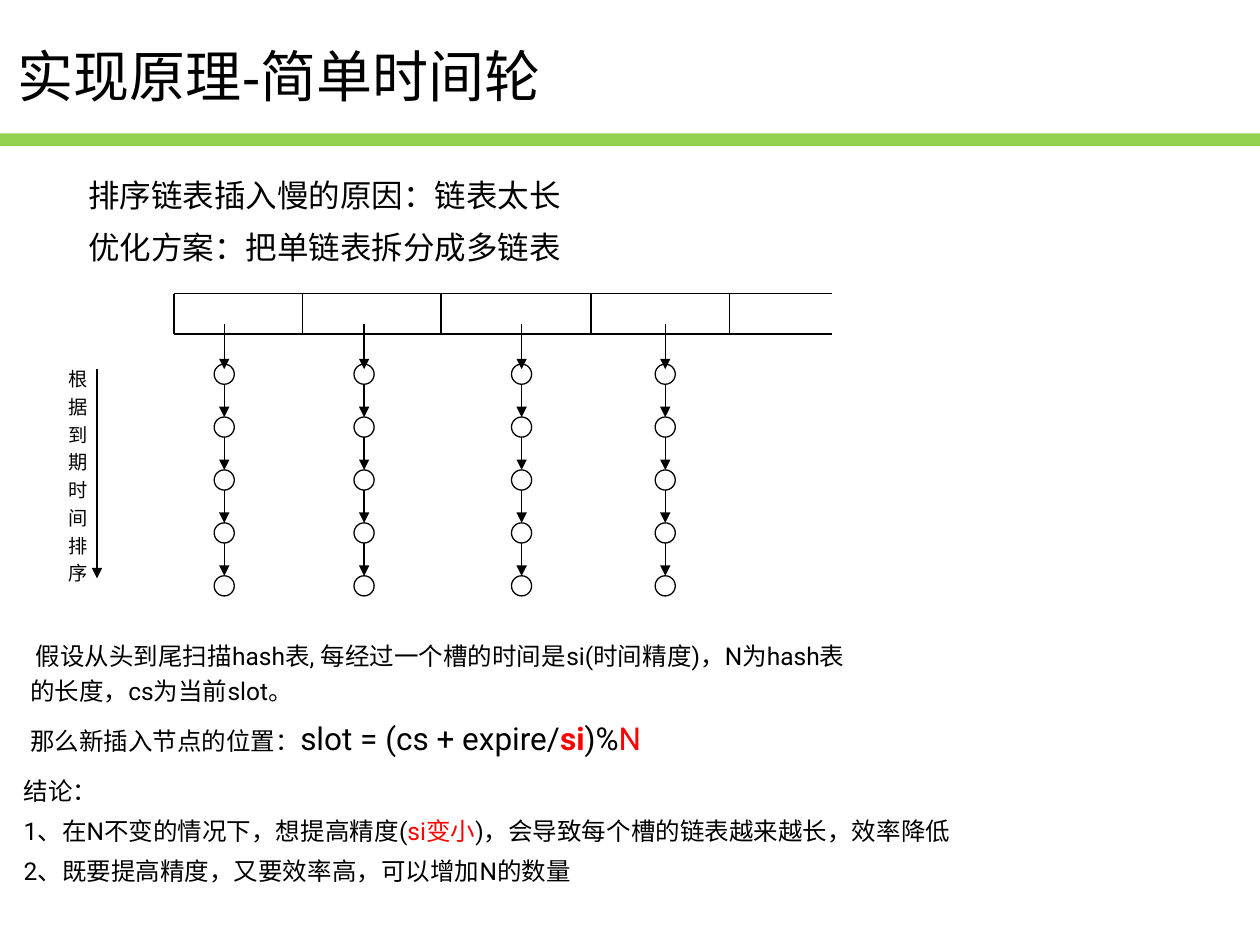
"""Build the slide that explains the simple timing wheel."""
import pptx
import pptx.dml.color
import pptx.enum.shapes
import pptx.enum.text
import pptx.oxml
import pptx.oxml.ns
import pptx.util
from pptx.util import Inches

BLACK, RED, GREEN, WHITE = "000000", "FF0000", "92D050", "FFFFFF"


def color(value):
    """Turn a hex string into a colour."""
    return pptx.dml.color.RGBColor.from_string(value)


def add_line(slide, start, end, arrow=False):
    """Draw a thin black line, with an arrowhead at its end if wanted."""
    line = slide.shapes.add_connector(
        pptx.enum.shapes.MSO_CONNECTOR.STRAIGHT, *map(Inches, start + end))
    line.line.color.rgb = color(BLACK)
    line.line.width = pptx.util.Pt(0.75)
    if arrow:
        tail = pptx.oxml.parse_xml(
            f'<a:tailEnd {pptx.oxml.ns.nsdecls("a")} type="triangle"/>')
        line.line._get_or_add_ln().append(tail)
    properties = line._element.spPr
    properties.append(pptx.oxml.parse_xml(f'<a:effectLst {pptx.oxml.ns.nsdecls("a")}/>'))


presentation = pptx.Presentation()
presentation.slide_width = Inches(10)
presentation.slide_height = Inches(7.5)
slide = presentation.slides.add_slide(presentation.slide_layouts[5])

bar = slide.shapes.add_shape(
    pptx.enum.shapes.MSO_SHAPE.RECTANGLE, 0, Inches(1.06), Inches(10), Inches(0.1))
bar.shadow.inherit = False
bar.fill.solid()
bar.fill.fore_color.rgb = color(GREEN)
bar.line.fill.background()

title = slide.shapes.title
title.left, title.top = Inches(0.04), Inches(0.28)
title.width, title.height = Inches(5.36), Inches(0.63)
title.text_frame.vertical_anchor = pptx.enum.text.MSO_ANCHOR.MIDDLE
title_paragraph = title.text_frame.paragraphs[0]
title_paragraph.alignment = pptx.enum.text.PP_ALIGN.LEFT
title_run = title_paragraph.add_run()
title_run.text = "实现原理-简单时间轮"
title_run.font.size = pptx.util.Pt(32)
title_run.font.name = "Arial"
title_run.font.color.rgb = color(BLACK)

text_boxes = [
    ((0.6, 1.29, 6.38, 0.85), 0.1, [
        [("排序链表插入慢的原因：链表太长", 18, BLACK, False)],
        [("优化方案：把单链表拆分成多链表", 18, BLACK, False)],
    ]),
    ((0.54, 2.83, 0.16, 1.92), 0, [
        [("根据到期时间排序", 11, BLACK, False)],
    ]),
    ((0.14, 4.99, 6.83, 1.09), 0.1, [
        [(" 假设从头到尾扫描hash表, 每经过一个槽的时间是si(时间精度)，"
          "N为hash表的长度，cs为当前slot。", 14, BLACK, False)],
        [("那么新插入节点的位置：", 14, BLACK, False),
         ("slot = (cs + expire/", 18, BLACK, False),
         ("si", 18, RED, True),
         (")%", 18, BLACK, False),
         ("N", 18, RED, False)],
    ]),
    ((0.09, 6.06, 7.66, 1.09), 0.1, [
        [("结论：", 14, BLACK, False)],
        [("1、在N不变的情况下，想提高精度(", 14, BLACK, False),
         ("si变小", 14, RED, False),
         (")，会导致每个槽的链表越来越长，效率降低", 14, BLACK, False)],
        [("2、既要提高精度，又要效率高，可以增加N的数量", 14, BLACK, False)],
    ]),
]
for place, side_margin, paragraphs in text_boxes:
    frame = slide.shapes.add_textbox(*map(Inches, place)).text_frame
    frame.word_wrap = True
    frame.margin_left = frame.margin_right = Inches(side_margin)
    for index, runs in enumerate(paragraphs):
        paragraph = frame.add_paragraph() if index else frame.paragraphs[0]
        paragraph.line_spacing = 1.2
        if index:
            paragraph.space_before = pptx.util.Pt(0.2 * max(run[1] for run in runs))
        for text, size, text_color, bold in runs:
            run = paragraph.add_run()
            run.text = text
            run.font.name = "Roboto"
            run.font.size = pptx.util.Pt(size)
            run.font.bold = bold
            run.font.color.rgb = color(text_color)

add_line(slide, (0.77, 2.93), (0.77, 4.59), arrow=True)

slots_top, slots_bottom = 2.33, 2.65
for y in (slots_top, slots_bottom):
    add_line(slide, (1.38, y), (6.6, y))
for x in (1.38, 2.4, 3.5, 4.69, 5.79):
    add_line(slide, (x, slots_top), (x, slots_bottom))

node_size, node_pitch, node_count, first_node_top = 0.16, 0.42, 5, 2.89
for x in (1.78, 2.89, 4.14, 5.28):
    for index in range(node_count):
        top = first_node_top + index * node_pitch
        node = slide.shapes.add_shape(
            pptx.enum.shapes.MSO_SHAPE.OVAL, Inches(x - node_size / 2), Inches(top),
            Inches(node_size), Inches(node_size))
        node.shadow.inherit = False
        node.fill.solid()
        node.fill.fore_color.rgb = color(WHITE)
        node.line.color.rgb = color(BLACK)
        node.line.width = pptx.util.Pt(0.75)
        if index < node_count - 1:
            add_line(slide, (x, top + node_size), (x, top + node_pitch), arrow=True)
    add_line(slide, (x, 2.57), (x, 2.93), arrow=True)

presentation.save("out.pptx")
